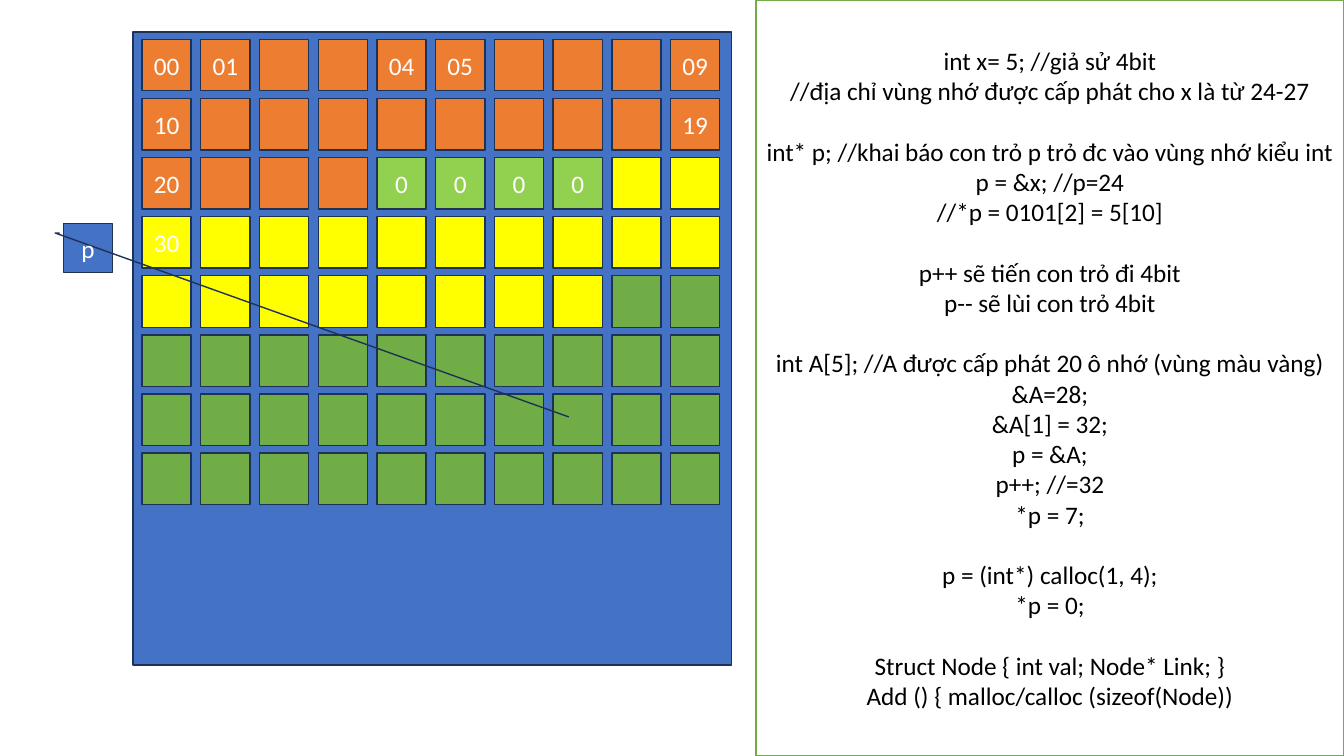
from pptx import Presentation
from pptx.dml.color import RGBColor
from pptx.enum.shapes import MSO_SHAPE
from pptx.enum.text import MSO_ANCHOR, PP_ALIGN
from pptx.util import Cm, Pt

WHITE = RGBColor(0xFF, 0xFF, 0xFF)
BLACK = RGBColor(0x00, 0x00, 0x00)
BLUE = RGBColor(0x44, 0x72, 0xC4)
NAVY = RGBColor(0x1E, 0x32, 0x56)
ORANGE = RGBColor(0xED, 0x7D, 0x31)
LIME = RGBColor(0x92, 0xD0, 0x50)
YELLOW = RGBColor(0xFF, 0xFF, 0x00)
GREEN = RGBColor(0x70, 0xAD, 0x47)

# Content: memory regions in address order, as (colour, number of cells)
REGIONS = [(ORANGE, 24), (LIME, 4), (YELLOW, 20), (GREEN, 32)]
CELL_LABELS = {
    0: "00", 1: "01", 4: "04", 5: "05", 9: "09", 10: "10", 19: "19",
    20: "20", 24: "0", 25: "0", 26: "0", 27: "0", 30: "30",
}
POINTER = "p"
# Content: groups of code lines, set apart by one line of space
CODE_GROUPS = [
    ["int x= 5; //giả sử 4bit\n//địa chỉ vùng nhớ được cấp phát cho x là từ 24-27"],
    ["int* p; //khai báo con trỏ p trỏ đc vào vùng nhớ kiểu int",
     "p = &x; //p=24",
     "//*p = 0101[2] = 5[10]"],
    ["p++ sẽ tiến con trỏ đi 4bit",
     "p-- sẽ lùi con trỏ 4bit"],
    ["int A[5]; //A được cấp phát 20 ô nhớ (vùng màu vàng)",
     "&A=28;",
     "&A[1] = 32;",
     "p = &A;",
     "p++; //=32",
     "*p = 7;"],
    ["p = (int*) calloc(1, 4);",
     "*p = 0;"],
    ["Struct Node { int val; Node* Link; }",
     "Add () { malloc/calloc (sizeof(Node))"],
]

# Layout, in centimetres
COLUMNS = 10
GRID_LEFT, GRID_TOP = 3.58, 0.99
PITCH_X, PITCH_Y = 1.48, 1.49
CELL_WIDTH, CELL_HEIGHT = 1.24, 1.3
GROUP_GAP = Pt(21.6)


def add_box(slide, left, top, width, height, fill, line=NAVY, kind=MSO_SHAPE.RECTANGLE):
    box = slide.shapes.add_shape(kind, Cm(left), Cm(top), Cm(width), Cm(height))
    box.shadow.inherit = False
    box.fill.solid()
    box.fill.fore_color.rgb = fill
    box.line.color.rgb = line
    box.line.width = Pt(1)
    return box


def write(box, groups, color=WHITE, size=18, font="Calibri", gap=GROUP_GAP):
    frame = box.text_frame
    frame.word_wrap = True
    frame.vertical_anchor = MSO_ANCHOR.MIDDLE
    for g, group in enumerate(groups):
        for i, text in enumerate(group):
            first = g == 0 and i == 0
            paragraph = frame.paragraphs[0] if first else frame.add_paragraph()
            paragraph.text = text
            paragraph.alignment = PP_ALIGN.CENTER
            if g > 0 and i == 0:
                paragraph.space_before = gap
            for run in paragraph.runs:
                run.font.name = font
                run.font.size = Pt(size)
                run.font.color.rgb = color


presentation = Presentation()
presentation.slide_width, presentation.slide_height = Cm(33.87), Cm(19.05)
slide = presentation.slides.add_slide(presentation.slide_layouts[6])

# Memory block with its cells
add_box(slide, 3.35, 0.81, 15.09, 15.95, BLUE)
cell_colors = [color for color, count in REGIONS for _ in range(count)]
for address, color in enumerate(cell_colors):
    row, column = divmod(address, COLUMNS)
    cell = add_box(slide, GRID_LEFT + column * PITCH_X, GRID_TOP + row * PITCH_Y,
                   CELL_WIDTH, CELL_HEIGHT, color)
    if address in CELL_LABELS:
        write(cell, [[CELL_LABELS[address]]])

# Code panel
code_panel = add_box(slide, 19.05, 0, 14.82, 19.05, WHITE, line=GREEN)
write(code_panel, CODE_GROUPS, color=BLACK)

# Pointer callout: its line ends in the heap cells
pointer = add_box(slide, 1.6, 5.64, 1.24, 1.22, BLUE, kind=MSO_SHAPE.LINE_CALLOUT_2)
for i, value in enumerate([0.19, -0.08, 0.19, -0.17, 3.99, 10.27]):
    pointer.adjustments[i] = value
write(pointer, [[POINTER]])

presentation.save("out.pptx")
